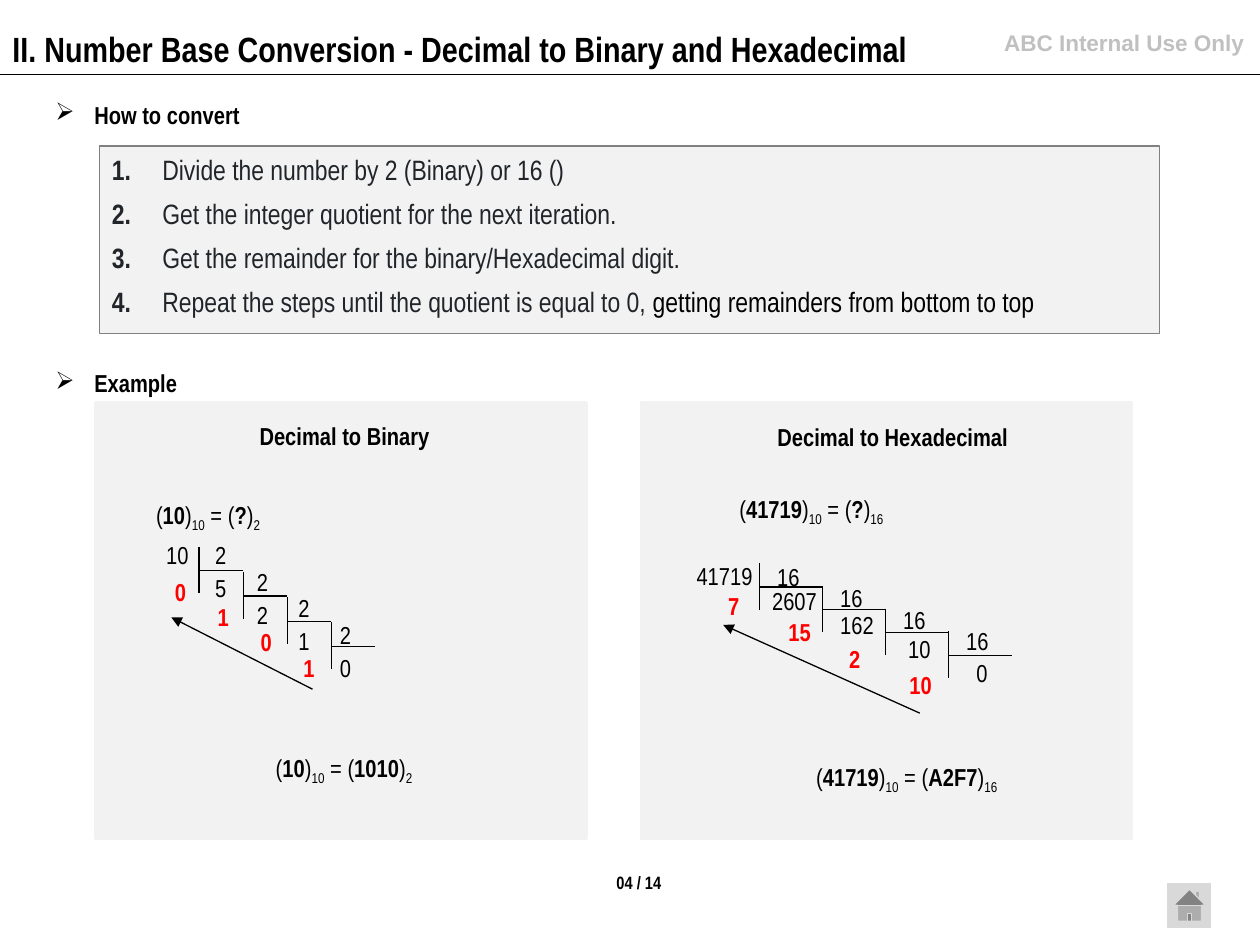
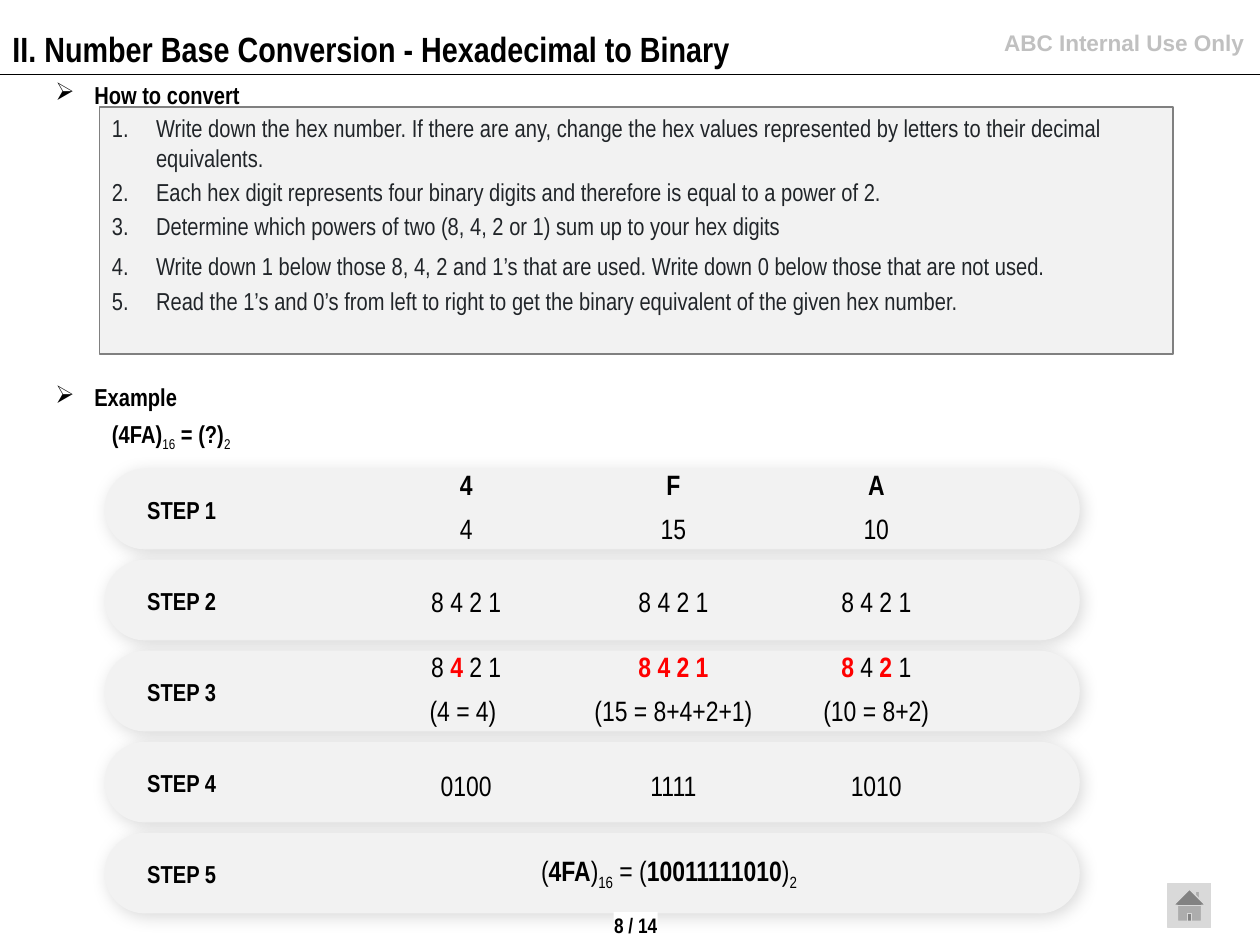
from lxml import etree
from pptx import Presentation
from pptx.dml.color import RGBColor
from pptx.enum.shapes import MSO_CONNECTOR, MSO_SHAPE
from pptx.enum.text import MSO_ANCHOR, PP_ALIGN
from pptx.oxml.ns import qn
from pptx.util import Inches, Pt

CENTER, RIGHT, LEFT = PP_ALIGN.CENTER, PP_ALIGN.RIGHT, PP_ALIGN.LEFT
TOP, MIDDLE = MSO_ANCHOR.TOP, MSO_ANCHOR.MIDDLE
STRAIGHT = MSO_CONNECTOR.STRAIGHT
RECTANGLE, PILL, HOME = (MSO_SHAPE.RECTANGLE, MSO_SHAPE.ROUNDED_RECTANGLE,
                         MSO_SHAPE.ACTION_BUTTON_HOME)

THEME = {
    "font": "Arial Narrow", "notice_font": "Arial",
    "ink": "000000", "body": "212529", "accent": "FF0000", "notice": "C0C0C0",
    "panel": "F2F2F2", "border": "808080", "button": "D9D9D9", "paper": "FFFFFF",
    "title_size": 20, "rule_size": 16, "text_size": 14, "notice_size": 12.9,
}
WIDTH, HEIGHT = 10, 7.5
NO_GRID_STYLE = "{2D5ABB26-0587-4C30-8999-92F81FD0307C}"

# Run styles: "b" bold, "r" bold in the accent colour, "s" subscript, "k" ink colour
NOTICE = "ABC Internal Use Only"
TITLE_PREFIX = "II. Number Base Conversion - "


def equation(number, base, result, result_base):
    return [("(", ""), (number, "b"), (")", ""), (base, "s"), (" = (", ""),
            (result, "b"), (")", ""), (result_base, "s")]


DIVISION_RULES = [
    [(" ", "b"), ("Divide the number by 2 (Binary) or 16 ()", "")],
    [(" ", "b"), ("Get the integer quotient for the next iteration.", "")],
    [(" ", "b"), ("Get the remainder for the binary/Hexadecimal digit.", "")],
    [(" ", "b"), ("Repeat the steps until the quotient is equal to 0, ", ""),
     ("getting remainders from bottom to top", "k")],
]
POWER_RULES = [
    "Write down the hex number. If there are any, change the hex values represented "
    "by letters to their decimal equivalents.",
    "Each hex digit represents four binary digits and therefore is equal to a power of 2.",
    "Determine which powers of two (8, 4, 2 or 1) sum up to your hex digits",
    "Write down 1 below those 8, 4, 2 and 1’s that are used. "
    "Write down 0 below those that are not used.",
    "Read the 1’s and 0’s from left to right to get the binary equivalent "
    "of the given hex number.",
]
# Each ladder series: values, first place, step to the next place, run style
EXAMPLES = [
    {"panel": 0.76, "heading": ("Decimal to Binary", 0.79, 3.29),
     "question": (equation("10", "10", "?", "2"), 1.14, 3.92),
     "answer": (equation("10", "10", "1010", "2"), 2.09, 5.93),
     "corner": (1.58, 4.53), "step": (0.35, 0.2), "arrow": (2.48, 5.47, 1.36, 4.9),
     "series": [(["10"], (1.22, 4.24), (0, 0), ""),
                (["2"] * 4, (1.61, 4.24), (0.33, 0.21), ""),
                (["5", "2", "1", "0"], (1.61, 4.5), (0.33, 0.21), ""),
                (["0", "1", "0", "1"], (1.29, 4.53), (0.34, 0.2), "r")]},
    {"panel": 5.09, "heading": ("Decimal to Hexadecimal", 5.14, 3.3),
     "question": (equation("41719", "10", "?", "16"), 5.77, 3.87),
     "answer": (equation("41719", "10", "A2F7", "16"), 6.38, 6),
     "corner": (6.03, 4.66), "step": (0.5, 0.18), "arrow": (7.3, 5.66, 5.74, 4.96),
     "series": [(["41719"], (5.43, 4.4), (0, 0), ""),
                (["16"] * 4, (6.07, 4.41), (0.5, 0.17), ""),
                (["2607", "162", "10", "0"], (6.03, 4.6), (0.54, 0.19), ""),
                (["7", "15", "2", "10"], (5.68, 4.64), (0.48, 0.21), "r")]},
]
LADDER_STEPS = 4

HEX_QUESTION = [("(4FA)", "b"), ("16", "s"), (" = (?)", "b"), ("2", "s")]
STEP_COUNT = 5
TABLE_COLUMNS = [0.95, 1.64, 1.65, 1.57]
TABLE_ROWS = [0.33, 0.36, 0.3, 0.44, 0.33, 0.34, 0.3, 0.49, 0.3, 0.3]
# Table row: the three cells beside the empty label column
SINGLE_ROWS = {
    0: [[("4", "b")], [("F", "b")], [("A", "b")]],
    1: ["4", "15", "10"],
    4: [[("8 ", ""), ("4 ", "r"), ("2 1", "")], [("8 4 2 1", "r")],
        [("8 ", "r"), ("4 ", ""), ("2 ", "r"), ("1", "")]],
    5: ["(4 = 4) ", "(15 = 8+4+2+1)", "(10 = 8+2)"],
}
DOUBLE_ROWS = {2: ["8 4 2 1"] * 3, 6: ["0100", "1111", "1010"]}
RESULT_ROW = 8
RESULT = equation("4FA", "16", "10011111010", "2")


def color(name):
    return RGBColor.from_string(THEME[name])


def write(paragraph, runs, size, ink="ink", font="font", align=LEFT):
    """Fill a paragraph with a string or a list of (text, style) runs."""
    paragraph.alignment = align
    for text, style in [(runs, "")] if isinstance(runs, str) else runs:
        run = paragraph.add_run()
        run.text = text
        run.font.name = THEME[font]
        run.font.size = Pt(size)
        run.font.bold = style in ("b", "r")
        run.font.color.rgb = color({"r": "accent", "k": "ink"}.get(style, ink))
        if style == "s":
            run._r.get_or_add_rPr().set("baseline", "-25000")


def add_text(slide, box, runs, size=THEME["text_size"], anchor=TOP, **options):
    shape = slide.shapes.add_textbox(*map(Inches, box))
    frame = shape.text_frame
    frame.word_wrap = True
    frame.vertical_anchor = anchor
    write(frame.paragraphs[0], runs, size, **options)
    return frame.paragraphs[0]


def add_box(slide, kind, box, fill, line=None, weight=0.75):
    shape = slide.shapes.add_shape(kind, *map(Inches, box))
    shape.shadow.inherit = False
    shape.fill.solid()
    shape.fill.fore_color.rgb = color(fill)
    if line:
        shape.line.color.rgb = color(line)
        shape.line.width = Pt(weight)
    else:
        shape.line.fill.background()
    shape.text_frame.vertical_anchor = TOP
    return shape


def add_line(slide, start_x, start_y, end_x, end_y, arrow=False):
    line = slide.shapes.add_connector(
        STRAIGHT, *map(Inches, (start_x, start_y, end_x, end_y)))
    line.line.color.rgb = color("ink")
    line.line.width = Pt(0.75)
    if arrow:
        etree.SubElement(line.line._get_or_add_ln(), qn("a:tailEnd"), type="triangle")
    etree.SubElement(line._element.spPr, qn("a:effectLst"))


def set_bullet(paragraph, indent, tag, **attributes):
    properties = paragraph._p.get_or_add_pPr()
    properties.set("marL", str(Inches(indent)))
    properties.set("indent", str(-Inches(indent)))
    etree.SubElement(properties, qn(tag), **attributes)


def add_section(slide, text, top):
    paragraph = add_text(slide, (0.34, top, 8.62, 0.47), [(text, "b")], anchor=MIDDLE)
    paragraph.line_spacing = 0.9
    set_bullet(paragraph, 0.31, "a:buChar", char="➢")


def add_rules(slide, box, rules, size, gaps):
    frame = add_box(slide, RECTANGLE, box, "panel", "border").text_frame
    for index, (rule, gap) in enumerate(zip(rules, gaps)):
        paragraph = frame.paragraphs[0] if index == 0 else frame.add_paragraph()
        write(paragraph, rule, size, ink="body")
        paragraph.space_before = Pt(gap)
        set_bullet(paragraph, 0.35, "a:buAutoNum", type="arabicPeriod")


def add_frame(presentation, title):
    """Start a slide with the heading that all slides share."""
    slide = presentation.slides.add_slide(presentation.slide_layouts[6])
    add_line(slide, 0, 0.59, WIDTH, 0.59)
    add_text(slide, (7.22, 0.18, 2.75, 0.32), [(NOTICE, "b")], THEME["notice_size"],
             ink="notice", font="notice_font", align=RIGHT)
    add_text(slide, (0, 0.17, 8.37, 0.44), [(TITLE_PREFIX + title, "b")],
             THEME["title_size"])
    return slide


def add_footer(slide, page, box, size):
    add_box(slide, HOME, (9.27, 7.01, 0.34, 0.35), "button", "button")
    frame = add_box(slide, RECTANGLE, box, "paper").text_frame
    frame.margin_left = frame.margin_right = frame.margin_top = frame.margin_bottom = 0
    frame.word_wrap = False
    write(frame.paragraphs[0], [(page, "b")], size, align=CENTER)


def add_ladder(slide, example):
    """Draw the repeated division as descending steps."""
    (left, top), (across, down) = example["corner"], example["step"]
    for index in range(LADDER_STEPS):
        x, y = left + index * across, top + index * down
        add_line(slide, x, y - 0.19, x, y + 0.18)
        add_line(slide, x, y, x + across, y)
    for values, (x, y), (dx, dy), style in example["series"]:
        for index, value in enumerate(values):
            add_text(slide, (x + index * dx, y + index * dy, 0.66, 0.34), [(value, style)])
    add_line(slide, *example["arrow"], arrow=True)


def add_step_bar(slide, index):
    top = 3.72 + 0.7225 * index
    bar = add_box(slide, PILL, (0.83, top, 7.74, 0.64), "panel")
    bar.adjustments[0] = 0.5
    effects = bar._element.spPr.find(qn("a:effectLst"))
    shadow = etree.SubElement(effects, qn("a:outerShdw"), blurRad=str(Pt(10)),
                              dist=str(Pt(2)), dir="2700000", rotWithShape="0")
    tint = etree.SubElement(shadow, qn("a:srgbClr"), val=THEME["ink"])
    etree.SubElement(tint, qn("a:alpha"), val="15000")
    add_text(slide, (1.07, top + 0.16, 0.9, 0.34), [(f"STEP {index + 1}", "b")])


def fill_cell(cell, runs, anchor=TOP):
    cell.vertical_anchor = anchor
    write(cell.text_frame.paragraphs[0], runs, THEME["rule_size"], align=CENTER)


def add_step_table(slide):
    frame = slide.shapes.add_table(
        len(TABLE_ROWS), len(TABLE_COLUMNS), Inches(1.93), Inches(3.73),
        Inches(sum(TABLE_COLUMNS)), Inches(sum(TABLE_ROWS)))
    table = frame.table
    table.first_row = table.horz_banding = False
    table._tbl.tblPr.find(qn("a:tableStyleId")).text = NO_GRID_STYLE
    for column, width in zip(table.columns, TABLE_COLUMNS):
        column.width = Inches(width)
    for row, height in zip(table.rows, TABLE_ROWS):
        row.height = Inches(height)
    for row, contents in {**SINGLE_ROWS, **DOUBLE_ROWS}.items():
        for column, runs in enumerate(contents, 1):
            cell = table.cell(row, column)
            if row in DOUBLE_ROWS:
                cell.merge(table.cell(row + 1, column))
            fill_cell(cell, runs, MIDDLE if row in DOUBLE_ROWS else TOP)
    result = table.cell(RESULT_ROW, 1)
    result.merge(table.cell(RESULT_ROW + 1, 3))
    fill_cell(result, RESULT, MIDDLE)
    for cell in table.iter_cells():
        cell.fill.background()
        cell.margin_left = cell.margin_right = Inches(0.07)
        cell.margin_top = cell.margin_bottom = Inches(0.04)
        if not cell.text_frame.text:
            # Empty cells must not stretch their row
            etree.SubElement(cell.text_frame.paragraphs[0]._p, qn("a:endParaRPr"), sz="1000")


def build_division_slide(presentation):
    slide = add_frame(presentation, "Decimal to Binary and Hexadecimal")
    add_rules(slide, (0.79, 1.16, 8.41, 1.49), DIVISION_RULES, THEME["rule_size"], [6] * 4)
    add_section(slide, "How to convert", 0.69)
    for example in EXAMPLES:
        add_box(slide, RECTANGLE, (example["panel"], 3.2, 3.89, 3.45), "panel", "panel", 2)
        heading, left, top = example["heading"]
        add_text(slide, (left, top, 3.89, 0.34), [(heading, "b")], align=CENTER)
        for part in ("question", "answer"):
            runs, left, top = example[part]
            add_text(slide, (left, top, 2.9, 0.34), runs)
        add_ladder(slide, example)
    add_section(slide, "Example", 2.82)
    add_footer(slide, "04 / 14", (4.89, 6.92, 0.36, 0.17), 10.2)


def build_powers_slide(presentation):
    slide = add_frame(presentation, "Hexadecimal to Binary")
    add_section(slide, "How to convert", 0.53)
    add_rules(slide, (0.79, 0.85, 8.52, 1.96), POWER_RULES, THEME["text_size"],
              [2.8, 2.8, 2.8, 6, 2.8])
    add_section(slide, "Example", 2.93)
    question = add_text(slide, (0.79, 3.27, 2.29, 0.36), HEX_QUESTION, anchor=MIDDLE)
    question.line_spacing = 0.9
    for index in range(STEP_COUNT):
        add_step_bar(slide, index)
    add_step_table(slide)
    add_footer(slide, "8 / 14", (4.87, 7.24, 0.35, 0.2), 12)


def main():
    presentation = Presentation()
    presentation.slide_width, presentation.slide_height = Inches(WIDTH), Inches(HEIGHT)
    build_division_slide(presentation)
    build_powers_slide(presentation)
    presentation.save("out.pptx")


if __name__ == "__main__":
    main()
